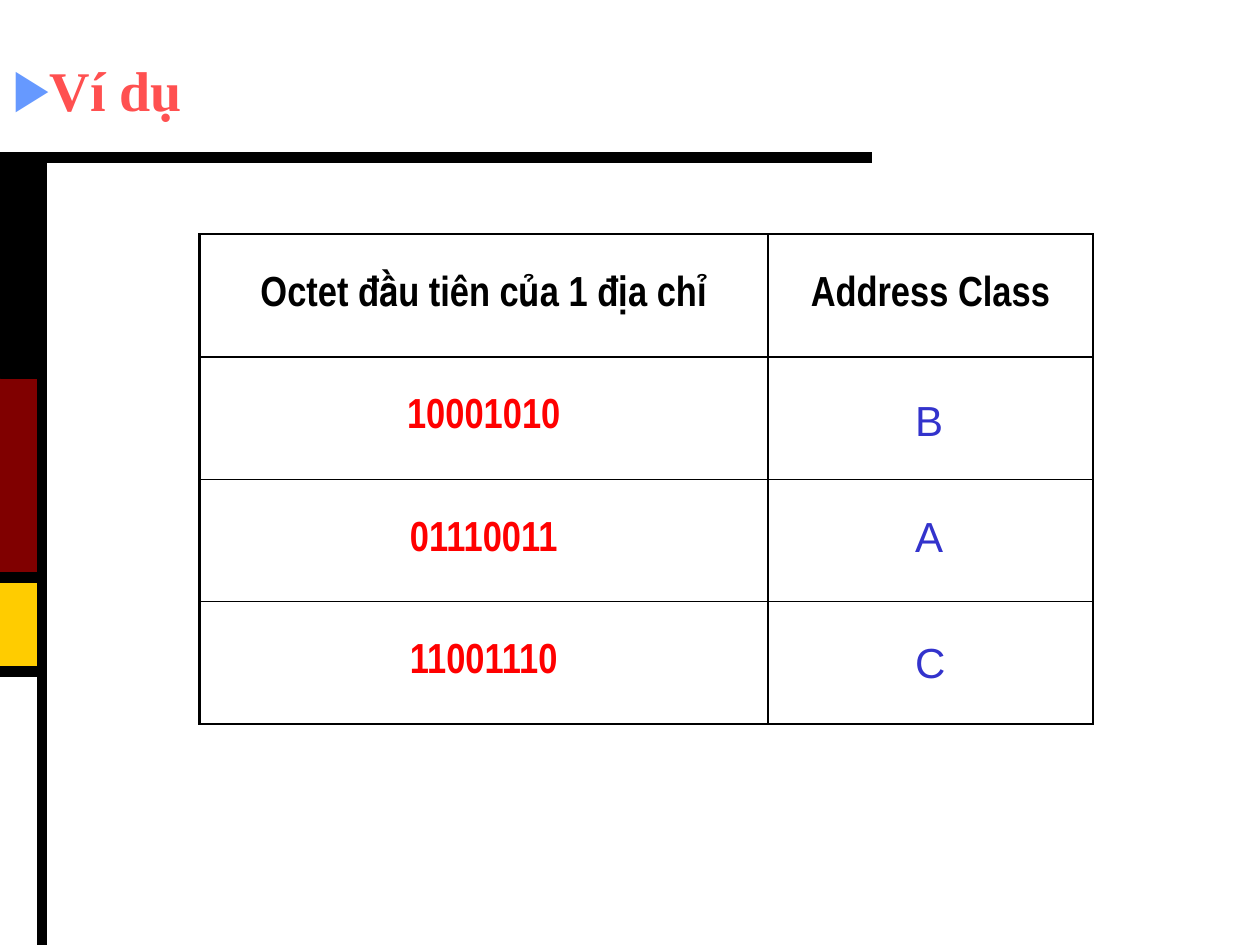
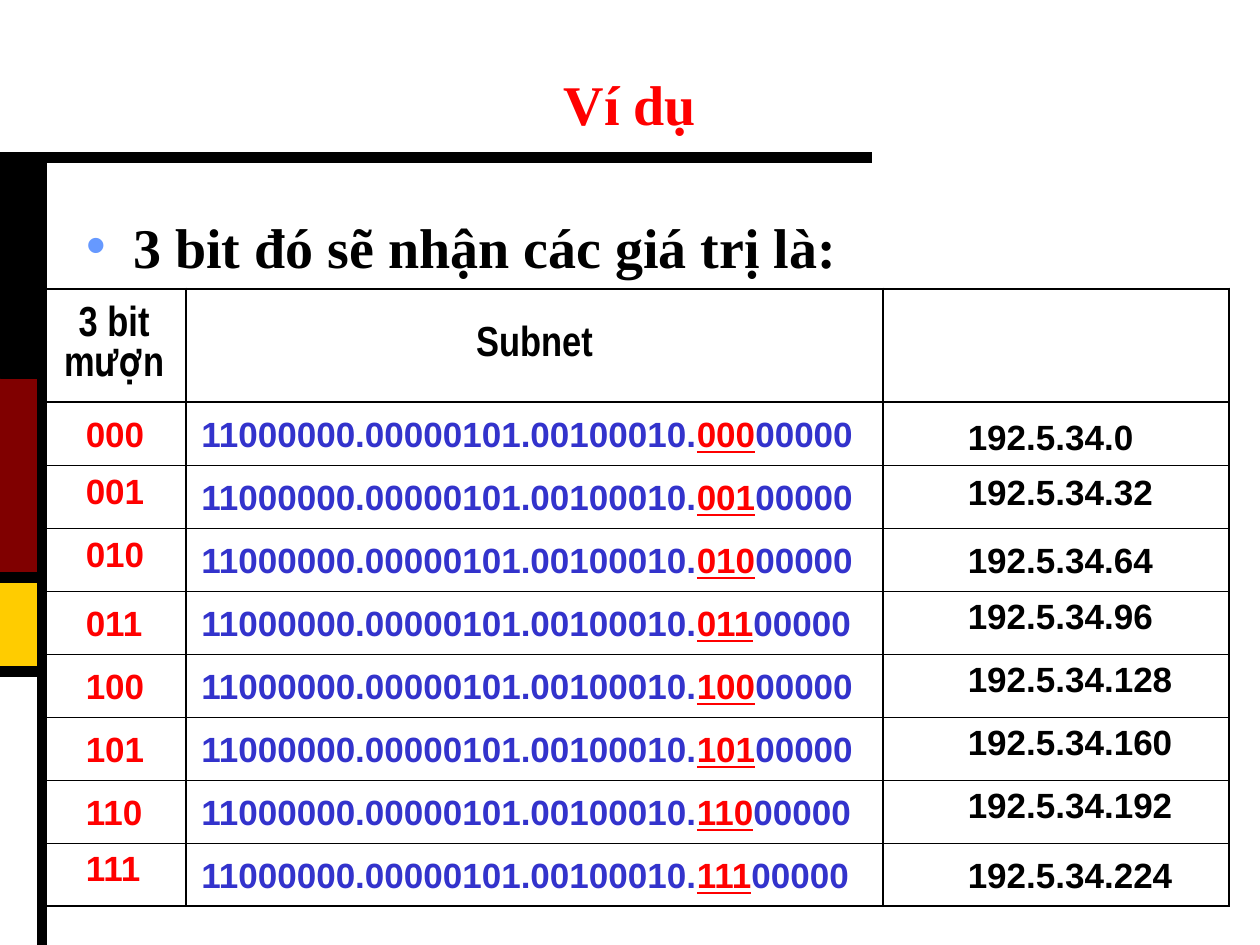
import pptx
import pptx.util
import pptx.dml.color
import pptx.enum.shapes
import pptx.enum.text
import pptx.oxml
import pptx.oxml.ns

Cm, Pt = pptx.util.Cm, pptx.util.Pt
ALIGN = pptx.enum.text.PP_ALIGN
ANCHOR = pptx.enum.text.MSO_ANCHOR
AUTO = pptx.enum.text.MSO_AUTO_SIZE
NS = pptx.oxml.ns.nsdecls("a")

COLORS = {
    "black": "000000",
    "maroon": "800000",
    "gold": "FFCC00",
    "coral": "FF5050",
    "red": "FF0000",
    "blue": "3333CC",
    "bullet": "6699FF",
}
SERIF, SANS, NARROW = "Times New Roman", "Arial", "Arial Narrow"
THICK, THIN = 1.47, 0.45
PREFIX, HOST = "11000000.00000101.00100010.", "00000"


def rgb(name):
    return pptx.dml.color.RGBColor.from_string(COLORS[name])


def place(shape, *box):
    shape.left, shape.top, shape.width, shape.height = map(Cm, box)


class Deck:
    def __init__(self):
        self.prs = pptx.Presentation()
        self.prs.slide_width, self.prs.slide_height = Cm(25.4), Cm(19.05)
        self.slide = None

    def start(self, layout):
        """Add a slide with the shared frame at its left and top."""
        self.slide = self.prs.slides.add_slide(self.prs.slide_layouts[layout])
        self.band(7.62, 4.02, "maroon")
        self.band(11.64, 1.9, "gold")
        self.rule(0, 3.18, 17.58, 3.18)
        self.rule(0.85, 3.18, 0.85, 19.05)
        self.band(3.18, 4.44, "black")
        for y in (11.64, 13.54):
            self.rule(0, y, 0.85, y)

    def band(self, top, height, color):
        kind = pptx.enum.shapes.MSO_SHAPE.RECTANGLE
        band = self.slide.shapes.add_shape(kind, Cm(0), Cm(top), Cm(0.85), Cm(height))
        band.shadow.inherit = False
        band.fill.solid()
        band.fill.fore_color.rgb = rgb(color)
        band.line.color.rgb = rgb(color)
        band.line.width = Pt(0.25)

    def rule(self, *ends):
        kind = pptx.enum.shapes.MSO_CONNECTOR.STRAIGHT
        rule = self.slide.shapes.add_connector(kind, *map(Cm, ends))
        rule.line.color.rgb = rgb("black")
        rule.line.width = Pt(6)
        rule._element.spPr.append(pptx.oxml.parse_xml(f"<a:effectLst {NS}/>"))

    def style(self, para, face, size, color, bold=True):
        for run in para.runs:
            run.font.name, run.font.size, run.font.bold = face, Pt(size), bold
            run.font.color.rgb = rgb(color)

    def bullet(self, para, char, indent):
        props = para._p.get_or_add_pPr()
        props.set("marL", str(Cm(indent)))
        props.set("indent", str(-Cm(indent)))
        for xml in (
            f'<a:buClr {NS}><a:srgbClr val="{COLORS["bullet"]}"/></a:buClr>',
            f'<a:buFont {NS} typeface="{SANS}"/>',
            f'<a:buChar {NS} char="{char}"/>',
        ):
            props.append(pptx.oxml.parse_xml(xml))

    def holder(self, shape, text, color, box):
        """Fill and move a placeholder, and return its paragraph."""
        place(shape, *box)
        frame = shape.text_frame
        frame.text = text
        frame.auto_size = AUTO.NONE
        frame.vertical_anchor = ANCHOR.MIDDLE
        self.style(frame.paragraphs[0], SERIF, 32, color)
        return frame.paragraphs[0]

    def title(self, text, color, align):
        para = self.holder(self.slide.shapes.title, text, color, (0, 0.85, 25.4, 1.9))
        para.alignment = align
        return para

    def body(self, text):
        box = (1.48, 4.19, 22.22, 1.78)
        para = self.holder(self.slide.placeholders[1], text, "black", box)
        self.bullet(para, "•", 0.95)
        para.line_spacing = 0.8
        para.space_before = Pt(0)

    def label(self, text, box, color, size=20, bold=True, wrap=True):
        shape = self.slide.shapes.add_textbox(*map(Cm, box))
        frame = shape.text_frame
        frame.text = text
        frame.word_wrap = wrap
        self.style(frame.paragraphs[0], SANS, size, color, bold)
        return frame.paragraphs[0]

    def border(self, cell, side, width):
        cell._tc.get_or_add_tcPr().append(pptx.oxml.parse_xml(
            f'<a:ln{side} {NS} w="{Pt(width)}"><a:solidFill>'
            f'<a:srgbClr val="{COLORS["black"]}"/></a:solidFill></a:ln{side}>'))

    def table(self, left, top, cols, rows, texts):
        """Draw a ruled grid; texts maps (row, column) to wording."""
        shape = self.slide.shapes.add_table(
            len(rows), len(cols), Cm(left), Cm(top), Cm(sum(cols)), Cm(sum(rows)))
        table = shape.table
        table.first_row = table.horz_banding = False
        for col, width in zip(table.columns, cols):
            col.width = Cm(width)
        for row, height in zip(table.rows, rows):
            row.height = Cm(height)
        last = len(rows) - 1
        for r in range(len(rows)):
            for c in range(len(cols)):
                cell = table.cell(r, c)
                upper = THICK if r < 2 else THIN
                lower = THICK if r in (0, last) else THIN
                for side, width in zip("LRTB", (THICK, THICK, upper, lower)):
                    self.border(cell, side, width)
                cell.fill.background()
                cell.vertical_anchor = ANCHOR.MIDDLE
                if (r, c) in texts:
                    cell.text_frame.text = texts[r, c]
                    para = cell.text_frame.paragraphs[0]
                    para.alignment = ALIGN.CENTER
                    self.style(para, NARROW, 24, "red" if r else "black")


def classes(deck):
    deck.start(5)
    para = deck.title("Ví dụ", "coral", ALIGN.LEFT)
    deck.bullet(para, "▶", 0)
    deck.table(4.02, 4.72, (11.46, 6.55), [2.47] * 4, {
        (0, 0): "Octet đầu tiên của 1 địa chỉ",
        (0, 1): "Address Class",
        (1, 0): "10001010",
        (2, 0): "01110011",
        (3, 0): "11001110",
    })
    for name, top in zip("BAC", (7.83, 10.16, 12.7)):
        deck.label(name, (18.2, top, 1.07, 1.27), "blue", 24, False, False)


def subnets(deck):
    deck.start(1)
    deck.title("Ví dụ", "red", ALIGN.CENTER).line_spacing = 1.4
    deck.body("3 bit đó sẽ nhận các giá trị là:")
    step = 1.27
    deck.table(0.85, 5.82, (2.9, 14.05, 6.98), [2.29] + [step] * 8,
               {(0, 0): "3 bit mượn", (0, 1): "Subnet"})
    # Small upward shifts of the labels in the outer columns
    bit_up = (0, 0.12, 0.12, 0, 0, 0, 0, 0.15)
    ip_up = (-0.06, 0.1, 0, 0.15, 0.15, 0.15, 0.15, 0)
    for i in range(8):
        top, bits = 8.2 + i * step, f"{i:03b}"
        para = deck.label(PREFIX, (3.81, top, 13.76, 1.11), "blue")
        for part in (bits, HOST):
            para.add_run().text = part
        deck.style(para, SANS, 20, "blue")
        mark = para.runs[1].font
        mark.color.rgb = rgb("red")
        mark.underline = True
        deck.label(f"192.5.34.{32 * i}", (19.26, top - ip_up[i], 4.87, 1.11), "black")
        deck.label(bits, (1.48, top - bit_up[i], 2.54, 1.11), "red")


def main():
    deck = Deck()
    classes(deck)
    subnets(deck)
    deck.prs.save("out.pptx")


if __name__ == "__main__":
    main()
